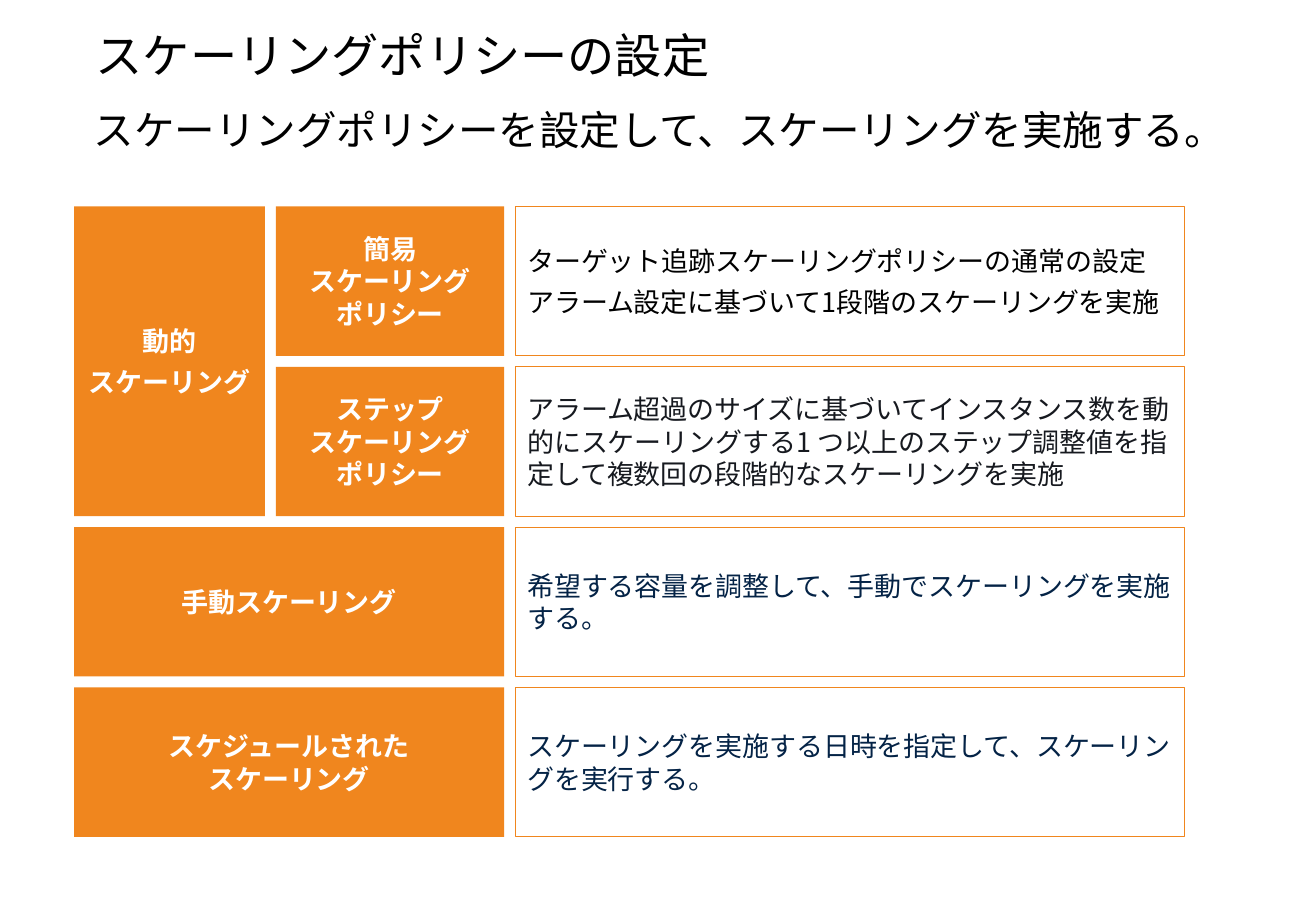
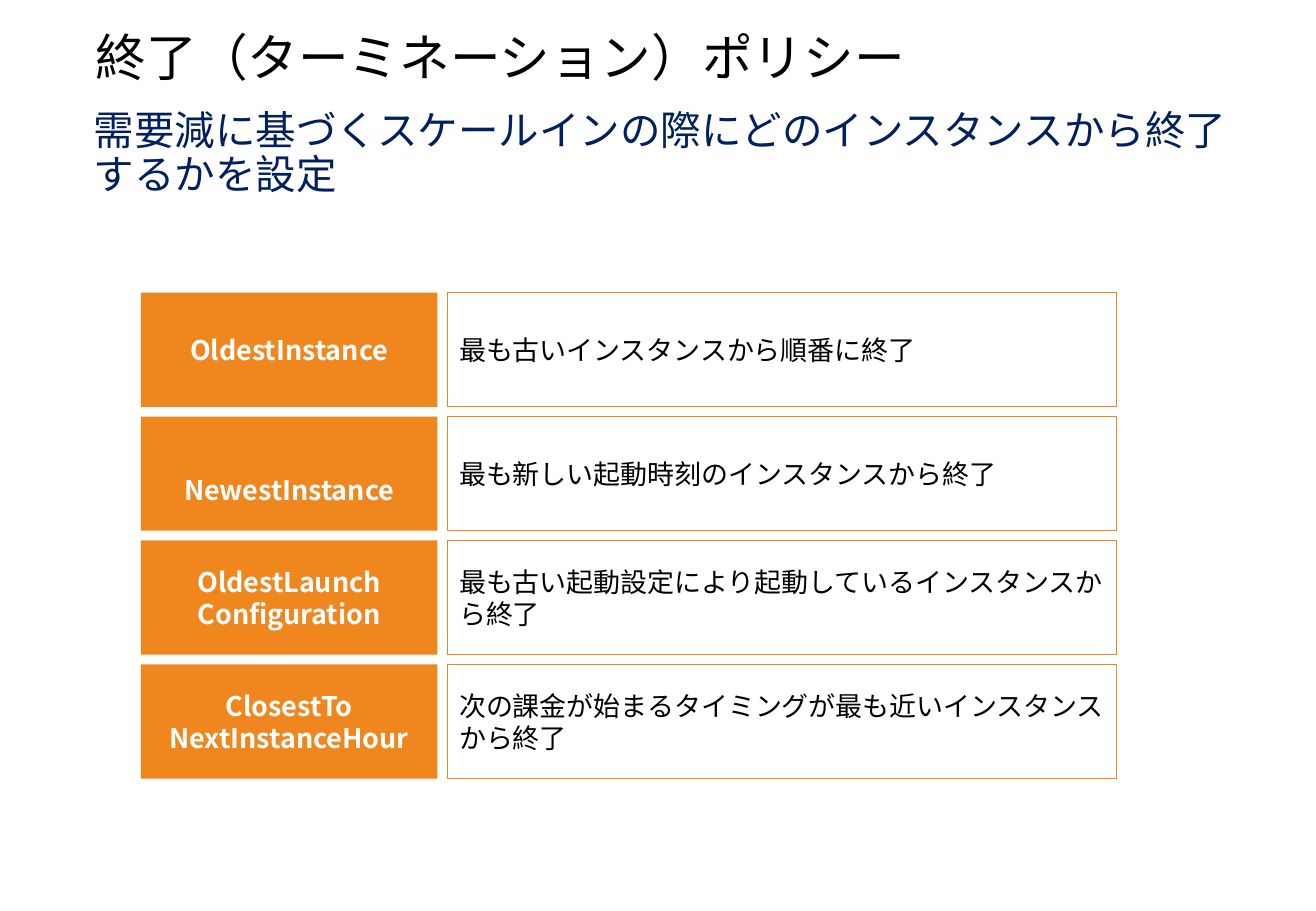
import copy
from pptx import Presentation, util as u
from pptx.dml.color import RGBColor
from pptx.enum import shapes, text
from pptx.oxml import ns
from lxml import etree

SCALE = 9144
FACE = "Noto Sans CJK JP"
INK = {"black": "000000", "white": "FFFFFF", "orange": "F0861E",
       "dark": "16191F", "navy": "042346", "blue": "002060"}
LABEL = {"size": 16, "bold": True, "ink": "white", "align": text.PP_ALIGN.CENTER}
NOTE = {"size": 16, "ink": "black"}
HEAD = {"size": 28, "ink": "black", "line": 0.9}
LEAD = {"size": 24, "ink": "black", "line": 0.9}


def px(n):
    return u.Emu(n * SCALE)


def tint(name):
    return RGBColor.from_string(INK[name])


def put(item, vals):
    for key, val in vals.items():
        setattr(item, key, val)


def write(frame, lines, form, pads):
    put(frame, {"word_wrap": True, "auto_size": text.MSO_AUTO_SIZE.NONE})
    put(frame, {f"margin_{side}": px(n) for side, n in pads.items()})
    for i, line in enumerate(lines):
        para = frame.add_paragraph() if i else frame.paragraphs[0]
        para.text = line
        put(para, {"alignment": form.get("align", text.PP_ALIGN.LEFT),
                   "line_spacing": form.get("line", 1.0),
                   "space_before": u.Pt(5 if i else 0)})
        for run in para.runs:
            put(run.font, {"size": u.Pt(form["size"]), "name": FACE,
                           "bold": form.get("bold", False)})
            run.font.color.rgb = tint(form["ink"])
            props = run.font._element
            etree.SubElement(props, ns.qn("a:ea")).set("typeface", FACE)
        for gap in para._p.findall(ns.qn("a:br")):
            gap.append(copy.deepcopy(props))


def panel(page, box, lines, form, pads):
    rect = page.shapes.add_shape(shapes.MSO_SHAPE.RECTANGLE, *map(px, box))
    rect.shadow.inherit = False
    rect.fill.solid()
    if form["ink"] == "white":
        rect.fill.fore_color.rgb = tint("orange")
        rect.line.fill.background()
    else:
        rect.fill.fore_color.rgb = tint("white")
        rect.line.color.rgb = tint("orange")
        rect.line.width = u.Pt(0.75)
    rect.text_frame.vertical_anchor = text.MSO_ANCHOR.MIDDLE
    write(rect.text_frame, lines, form, pads)


def header(page, box, title, lead):
    x, y, w, h = box
    rows = [(y, w, h, *title, {"left": 10, "right": 10, "top": 5, "bottom": 5}),
            (y + 65, w + 24, 36, *lead, {"left": 8, "right": 8, "top": 4, "bottom": 4})]
    for top, wide, high, line, form, pads in rows:
        area = page.shapes.add_textbox(*map(px, (x, top, wide, high)))
        write(area.text_frame, [line], form, pads)


def grid(page, box, cols, count, gap, cells):
    x, y, h = box
    high = (h - gap * (count - 1)) // count
    for row, col, down, over, lines, form, drop in cells:
        left = x + sum(cols[:col]) + gap * col
        wide = sum(cols[col:col + over]) + gap * (over - 1)
        tall = high * down + gap * (down - 1)
        area = left, y + row * (high + gap), wide, tall
        pads = {"left": 10, "right": 10, "top": 5 + drop, "bottom": 5}
        panel(page, area, lines, form, pads)


def scaling(page, box):
    x, y = box
    header(page, (x + 69, y + 22, 945, 55), ("スケーリングポリシーの設定", HEAD),
           ("スケーリングポリシーを設定して、スケーリングを実施する。", LEAD))
    dark, navy = NOTE | {"ink": "dark"}, NOTE | {"ink": "navy"}
    cells = [
        (0, 0, 2, 1, ["動的", "スケーリング"], LABEL, 0),
        (0, 1, 1, 1, ["簡易\nスケーリング\nポリシー"], LABEL, 0),
        (0, 2, 1, 1, ["ターゲット追跡スケーリングポリシーの通常の設定",
                      "アラーム設定に基づいて1段階のスケーリングを実施"], NOTE, 0),
        (1, 1, 1, 1, ["ステップ\nスケーリング\nポリシー"], LABEL, 0),
        (1, 2, 1, 1, ["アラーム超過のサイズに基づいてインスタンス数を動的にスケーリングする"
                      "1 つ以上のステップ調整値を指定して複数回の段階的なスケーリングを実施"], dark, 0),
        (2, 0, 1, 2, ["手動スケーリング"], LABEL, 0),
        (2, 2, 1, 1, ["希望する容量を調整して、手動でスケーリングを実施する。"], navy, 0),
        (3, 0, 1, 2, ["スケジュールされた\nスケーリング"], LABEL, 0),
        (3, 2, 1, 1, ["スケーリングを実施する日時を指定して、スケーリングを実行する。"], navy, 0),
    ]
    grid(page, (x + 61, y + 170, 519), (157, 188, 551), 4, 9, cells)


def ending(page, box):
    x, y = box
    header(page, (x + 69, y + 22, 945, 55),
           ("終了（ターミネーション）ポリシー", HEAD | {"size": 30}),
           ("需要減に基づくスケールインの際にどのインスタンスから終了するかを設定",
            LEAD | {"ink": "blue"}))
    rules = [
        ("OldestInstance", "最も古いインスタンスから順番に終了", 0),
        ("NewestInstance", "最も新しい起動時刻のインスタンスから終了", 27),
        ("OldestLaunch\nConfiguration",
         "最も古い起動設定により起動しているインスタンスから終了", 0),
        ("ClosestTo\nNextInstanceHour",
         "次の課金が始まるタイミングが最も近いインスタンスから終了", 0),
    ]
    cells = []
    for row, (name, note, drop) in enumerate(rules):
        cells += [(row, 0, 1, 1, [name], LABEL, drop),
                  (row, 1, 1, 1, [note], NOTE, 0)]
    grid(page, (x + 116, y + 241, 400), (244, 551), 4, 8, cells)


def main():
    deck = Presentation()
    put(deck, {"slide_width": px(1083), "slide_height": px(750)})
    for build in (scaling, ending):
        build(deck.slides.add_slide(deck.slide_layouts[6]), (0, 0))
    deck.save("out.pptx")


if __name__ == "__main__":
    main()
